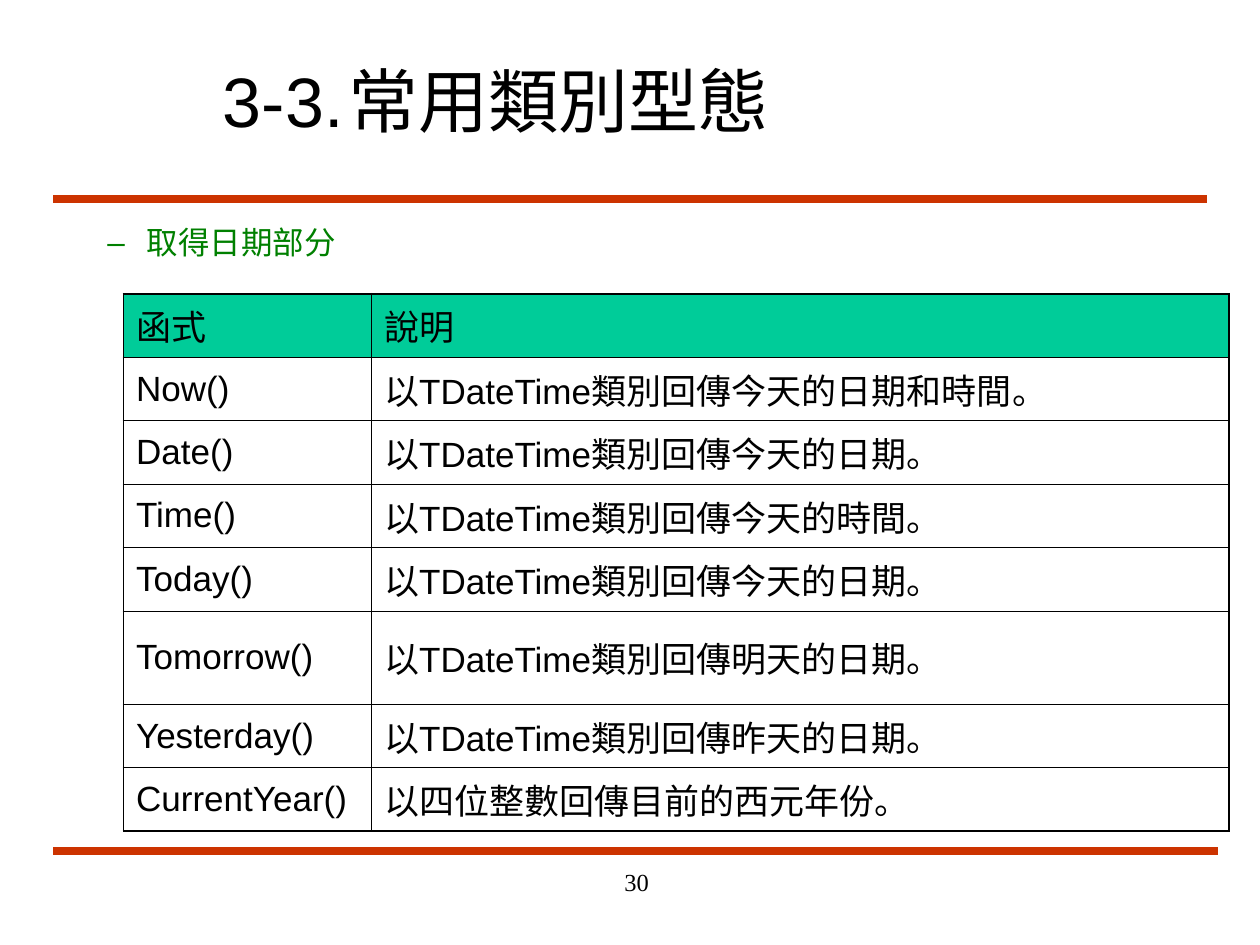
from lxml.etree import SubElement
from pptx import Presentation
from pptx.dml.color import RGBColor as Rgb
from pptx.enum.shapes import MSO_CONNECTOR as Link
from pptx.enum.text import MSO_ANCHOR as Anchor, MSO_AUTO_SIZE as Fit, PP_ALIGN as Align
from pptx.oxml.ns import qn
from pptx.util import Cm, Pt

HUES = {"ink": "000000", "rule": "CC3300", "list": "008000",
        "head": "00CC99", "page": "FFFFFF"}
THIN, THICK = 0.45, 1.08
ROWS = [
    ("函式", "說明"),
    ("Now()", "以TDateTime類別回傳今天的日期和時間。"),
    ("Date()", "以TDateTime類別回傳今天的日期。"),
    ("Time()", "以TDateTime類別回傳今天的時間。"),
    ("Today()", "以TDateTime類別回傳今天的日期。"),
    ("Tomorrow()", "以TDateTime類別回傳明天的日期。"),
    ("Yesterday()", "以TDateTime類別回傳昨天的日期。"),
    ("CurrentYear()", "以四位整數回傳目前的西元年份。"),
]
TALL = "Tomorrow()"


def hue(name):
    return Rgb.from_string(HUES[name])


def place(shape, *box):
    for key, size in zip(("left", "top", "width", "height"), box):
        setattr(shape, key, Cm(size))


def write(para, text, size, ink="ink", face="Arial", **form):
    for key, value in form.items():
        setattr(para, key, value)
    run = para.add_run()
    run.text = text
    for key, value in {"size": Pt(size), "name": face}.items():
        setattr(run.font, key, value)
    run.font.color.rgb = hue(ink)


def add_title(slide):
    title = slide.shapes.title
    place(title, 4.24, 0.84, 19.25, 2.34)
    frame = title.text_frame
    frame.auto_size, frame.vertical_anchor = Fit.NONE, Anchor.MIDDLE
    para = frame.paragraphs[0]
    # Tab stop between number and heading
    tabs = SubElement(para._p.get_or_add_pPr(), qn("a:tabLst"))
    SubElement(tabs, qn("a:tab"), pos=str(Cm(2.54)), algn="l")
    write(para, "3-3.\t常用類別型態", 40, alignment=Align.LEFT)


def add_list(slide):
    body = slide.placeholders[1]
    place(body, 0.64, 4.45, 11.86, 12.27)
    body.text_frame.auto_size = Fit.NONE
    para = body.text_frame.paragraphs[0]
    # Green dash bullet with hanging indent
    props = para._p.get_or_add_pPr()
    props.set("marL", str(Cm(2.06)))
    props.set("indent", str(Cm(-0.79)))
    SubElement(SubElement(props, qn("a:buClr")), qn("a:srgbClr"), val=HUES["list"])
    SubElement(props, qn("a:buFont"), typeface="Arial")
    SubElement(props, qn("a:buChar"), char="–")
    write(para, "取得日期部分", 18, "list", level=1, line_spacing=0.9,
          space_before=Pt(0))


def add_rule(slide, left, right, top):
    rule = slide.shapes.add_connector(
        Link.STRAIGHT, Cm(left), Cm(top), Cm(right), Cm(top))
    rule.line.width = Pt(4.5)
    rule.line.color.rgb = hue("rule")
    SubElement(rule._element.spPr, qn("a:effectLst"))


def edge(cell, widths):
    props = cell._tc.get_or_add_tcPr()
    for spot, (side, width) in enumerate(widths.items()):
        line = props.makeelement(qn(f"a:ln{side}"), {"w": str(Pt(width))})
        fill = SubElement(line, qn("a:solidFill"))
        SubElement(fill, qn("a:srgbClr"), val=HUES["ink"])
        props.insert(spot, line)


def add_grid(slide):
    frame = slide.shapes.add_table(
        len(ROWS), 2, Cm(2.49), Cm(5.92), Cm(22.28), Cm(9.63))
    grid = frame.table
    grid.first_row = grid.horz_banding = False
    for col, width in zip(grid.columns, (5, 17.28)):
        col.width = Cm(width)
    last = len(ROWS) - 1
    for r, texts in enumerate(ROWS):
        grid.rows[r].height = Cm(1.88 if texts[0] == TALL else 1.12)
        for c, text in enumerate(texts):
            cell = grid.cell(r, c)
            cell.vertical_anchor = Anchor.MIDDLE
            cell.fill.solid()
            cell.fill.fore_color.rgb = hue("page" if r else "head")
            # Outer edges are thicker than inner ones
            outer = {"L": c == 0, "R": c == 1, "T": r == 0, "B": r == last}
            edge(cell, {k: THICK if v else THIN for k, v in outer.items()})
            write(cell.text_frame.paragraphs[0], text, 20)


def add_page(slide):
    box = slide.shapes.add_textbox(Cm(8.05), Cm(17.35), Cm(5.28), Cm(1.27))
    box.text_frame.word_wrap = True
    write(box.text_frame.paragraphs[0], "30", 14, face="Times New Roman",
          alignment=Align.RIGHT)


def main():
    deck = Presentation()
    deck.slide_width, deck.slide_height = Cm(25.4), Cm(19.05)
    slide = deck.slides.add_slide(deck.slide_layouts[1])
    # Rules above and below the content
    add_rule(slide, 1.07, 24.33, 4.02)
    add_rule(slide, 1.07, 24.56, 17.15)
    # Content
    add_title(slide)
    add_list(slide)
    add_grid(slide)
    add_page(slide)
    deck.save("out.pptx")


if __name__ == "__main__":
    main()
